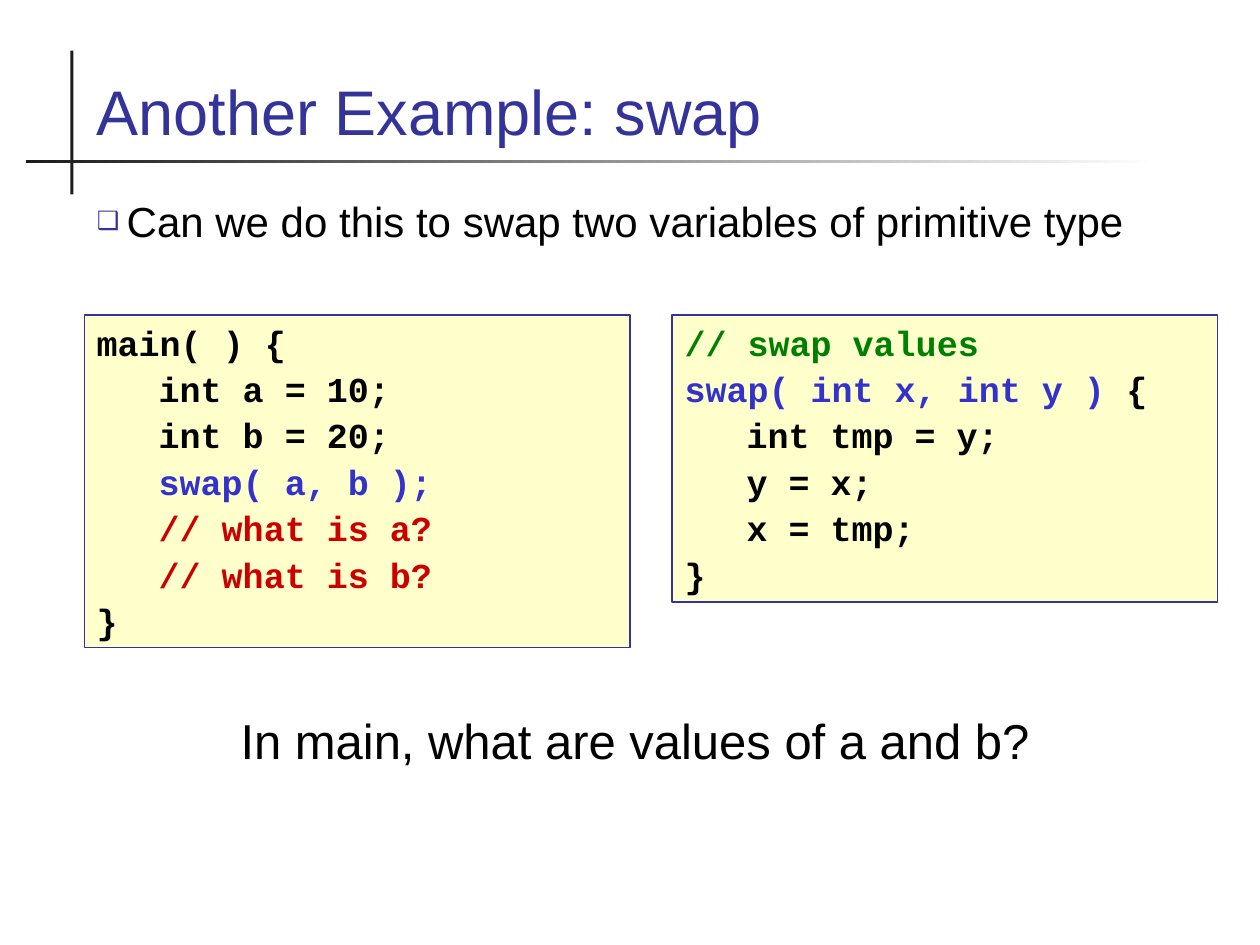
import pptx
import pptx.util
import pptx.dml.color
import pptx.enum.shapes
import pptx.enum.text
import pptx.oxml
import pptx.oxml.ns

Cm, Pt = pptx.util.Cm, pptx.util.Pt
RGBColor = pptx.dml.color.RGBColor
Fit = pptx.enum.text.MSO_AUTO_SIZE
Anchor = pptx.enum.text.MSO_ANCHOR
Align = pptx.enum.text.PP_ALIGN
RECT = pptx.enum.shapes.MSO_SHAPE.RECTANGLE

BLACK = RGBColor(0x00, 0x00, 0x00)
WHITE = RGBColor(0xFF, 0xFF, 0xFF)
INK = RGBColor(0x1C, 0x1C, 0x1C)
NAVY = RGBColor(0x33, 0x33, 0x99)
BLUE = RGBColor(0x33, 0x33, 0xCC)
RED = RGBColor(0xCC, 0x00, 0x00)
GREEN = RGBColor(0x00, 0x80, 0x00)
CREAM = RGBColor(0xFF, 0xFF, 0xCC)

TITLE = "Another Example: swap"
POINT = "Can we do this to swap two variables of primitive type"
QUERY = "In main, what are values of a and b?"
CALLER = [
    [("main( ) {", BLACK)],
    [("\tint a = 10;", BLACK)],
    [("\tint b = 20;", BLACK)],
    [("\tswap( a, b );", BLUE)],
    [("\t// what is a?", RED)],
    [("\t// what is b?", RED)],
    [("}", BLACK)],
]
SWAP = [
    [("// swap values", GREEN)],
    [("swap( int x, int y )", BLUE), (" {", BLACK)],
    [("\tint tmp = y;", BLACK)],
    [("\ty = x;", BLACK)],
    [("\tx = tmp;", BLACK)],
    [("}", BLACK)],
]

LEFT, WIDE = 1.7, 22
CODE_TOP, CODE_WIDE, CODE_STEP = 6.35, 11, 11.85
PITCH, PAD, GAP = 0.92, 0.27, 2.5
TAB, HANG = 1.25, 0.6


def place(shape, left, top, width, height):
    shape.left, shape.top = Cm(left), Cm(top)
    shape.width, shape.height = Cm(width), Cm(height)


def style(run, face, size, color, bold=False):
    font = run.font
    font.name, font.size, font.bold = face, Pt(size), bold
    font.color.rgb = color


def write(shape, text, size, color, align, anchor):
    frame = shape.text_frame
    frame.text = text
    frame.word_wrap = True
    frame.auto_size = Fit.NONE
    frame.vertical_anchor = anchor
    para = frame.paragraphs[0]
    para.alignment = align
    para.space_before = Pt(0)
    style(para.runs[0], "Arial", size, color)
    return para


def extend(para, xml):
    space = pptx.oxml.ns.nsdecls("a")
    props = para._p.get_or_add_pPr()
    props.extend(list(pptx.oxml.parse_xml(f"<a:pPr {space}>{xml}</a:pPr>")))
    return props


def rule(slide, left, top, width, height):
    bar = slide.shapes.add_shape(RECT, Cm(left), Cm(top), Cm(width), Cm(height))
    bar.shadow.inherit = False
    bar.line.fill.background()
    return bar.fill


def code(slide, col, lines):
    box = slide.shapes.add_shape(RECT, Cm(LEFT + col * CODE_STEP), Cm(CODE_TOP),
                                 Cm(CODE_WIDE), Cm(len(lines) * PITCH + PAD))
    box.shadow.inherit = False
    box.fill.solid()
    box.fill.fore_color.rgb = CREAM
    box.line.color.rgb = NAVY
    box.line.width = Pt(0.75)
    frame = box.text_frame
    frame.word_wrap = True
    frame.auto_size = Fit.SHAPE_TO_FIT_TEXT
    frame.vertical_anchor = Anchor.TOP
    for row, parts in enumerate(lines):
        para = frame.add_paragraph() if row else frame.paragraphs[0]
        para.alignment = Align.LEFT
        para.space_before = Pt(GAP if row else 0)
        extend(para, f'<a:tabLst><a:tab pos="{Cm(TAB)}" algn="l"/></a:tabLst>')
        for text, color in parts:
            run = para.add_run()
            run.text = text
            style(run, "Courier New", 20, color, True)


def main():
    deck = pptx.Presentation()
    deck.slide_width, deck.slide_height = Cm(25.4), Cm(19.05)
    slide = deck.slides.add_slide(deck.slide_layouts[1])

    post = rule(slide, 1.42, 1.02, 0.06, 2.9)
    post.solid()
    post.fore_color.rgb = INK
    fade = rule(slide, 0.53, 3.23, 22.83, 0.06)
    fade.gradient()
    fade.gradient_angle = 0
    for stop, color in zip(fade.gradient_stops, (INK, WHITE)):
        stop.color.rgb = color

    title, body = slide.placeholders
    place(title, LEFT, 0.71, WIDE, 2.41)
    write(title, TITLE, 36, NAVY, Align.LEFT, Anchor.BOTTOM)

    place(body, LEFT, 3.81, WIDE, 2.34)
    para = write(body, POINT, 24, BLACK, Align.LEFT, Anchor.TOP)
    props = extend(para, f'<a:buClr><a:srgbClr val="{NAVY}"/></a:buClr>'
                         '<a:buSzPct val="60000"/>'
                         '<a:buFont typeface="Arial"/>'
                         '<a:buChar char="❑"/>')
    props.set("marL", str(Cm(HANG)))
    props.set("indent", str(Cm(-HANG)))

    for col, lines in enumerate((CALLER, SWAP)):
        code(slide, col, lines)

    query = slide.shapes.add_textbox(Cm(1.6), Cm(14.2), Cm(22.4), Cm(1.45))
    write(query, QUERY, 28, BLACK, Align.CENTER, Anchor.TOP)
    deck.save("out.pptx")


if __name__ == "__main__":
    main()
